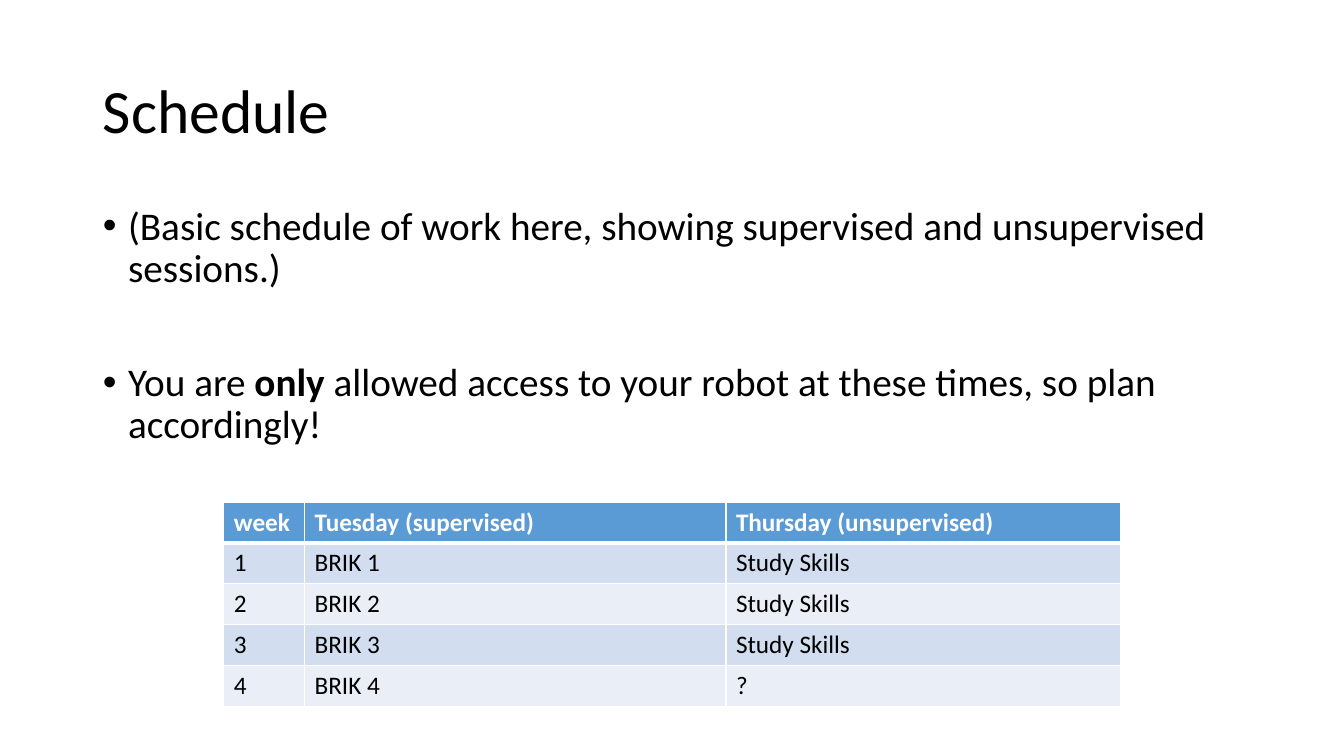
from lxml import etree
from pptx import Presentation
from pptx import util as u
from pptx.dml import color
from pptx.enum import text
from pptx.oxml import ns

HUES = {"ink": "000000", "paper": "FFFFFF", "head": "5B9BD5",
        "odd": "D2DEEF", "even": "EAEFF7"}
FONT = "Calibri"
POINTS = [
    [("(Basic schedule of work here, showing supervised and unsupervised sessions.)", False)],
    [("You are ", False), ("only", True),
     (" allowed access to your robot at these times, so plan accordingly!", False)],
]
ROWS = [
    ("week", "Tuesday (supervised)", "Thursday (unsupervised)"),
    ("1", "BRIK 1", "Study Skills"),
    ("2", "BRIK 2", "Study Skills"),
    ("3", "BRIK 3", "Study Skills"),
    ("4", "BRIK 4", "?"),
]
WIDTHS = (0.8, 4.18, 3.91)


def rgb(name):
    return color.RGBColor.from_string(HUES[name])


def add_run(para, words, size, hue="ink", bold=False):
    run = para.add_run()
    run.text = words
    font = run.font
    font.name, font.size, font.bold = FONT, u.Pt(size), bold
    font.color.rgb = rgb(hue)


def place(shape, box):
    shape.left, shape.top, shape.width, shape.height = map(u.Inches, box)


def add_title(slide, box):
    title = slide.shapes.title
    place(title, box)
    frame = title.text_frame
    frame.auto_size = text.MSO_AUTO_SIZE.NONE
    frame.vertical_anchor = text.MSO_ANCHOR.MIDDLE
    para = frame.paragraphs[0]
    para.alignment = text.PP_ALIGN.LEFT
    para.line_spacing = 0.9
    add_run(para, "Schedule", 44)


def add_list(slide, box):
    body = slide.placeholders[1]
    place(body, box)
    frame = body.text_frame
    frame.auto_size = text.MSO_AUTO_SIZE.NONE
    for i, point in enumerate(POINTS):
        para = frame.add_paragraph() if i else frame.paragraphs[0]
        para.line_spacing = 0.9
        para.space_before = u.Pt(51 if i else 10)
        props = para._p.get_or_add_pPr()
        props.set("marL", str(u.Inches(0.25)))
        props.set("indent", str(u.Inches(-0.25)))
        etree.SubElement(props, ns.qn("a:buFont")).set("typeface", "Arial")
        etree.SubElement(props, ns.qn("a:buChar")).set("char", "•")
        for words, bold in point:
            add_run(para, words, 28, bold=bold)


def add_edges(cell, top, base):
    """Draw white borders, with the top and bottom widths in points."""
    props = cell._tc.get_or_add_tcPr()
    for side, width in (("L", 1), ("R", 1), ("T", top), ("B", base)):
        line = etree.SubElement(props, ns.qn("a:ln" + side), w=str(u.Pt(width)))
        fill = etree.SubElement(line, ns.qn("a:solidFill"))
        etree.SubElement(fill, ns.qn("a:srgbClr")).set("val", HUES["paper"])


def add_plan(slide, box):
    frame = slide.shapes.add_table(len(ROWS), len(WIDTHS), *map(u.Inches, box))
    table = frame.table
    for col, width in zip(table.columns, WIDTHS):
        col.width = u.Inches(width)
    for r, row in enumerate(ROWS):
        head = r == 0
        hue = "head" if head else ("even", "odd")[r % 2]
        for c, words in enumerate(row):
            cell = table.cell(r, c)
            add_edges(cell, 3 if r == 1 else 1, 3 if head else 1)
            cell.fill.solid()
            cell.fill.fore_color.rgb = rgb(hue)
            add_run(cell.text_frame.paragraphs[0], words, 18,
                    "paper" if head else "ink", head)


def main():
    deck = Presentation()
    deck.slide_width, deck.slide_height = u.Inches(13.33), u.Inches(7.5)
    slide = deck.slides.add_slide(deck.slide_layouts[1])
    slide.background.fill.solid()
    slide.background.fill.fore_color.rgb = rgb("paper")
    add_title(slide, (0.92, 0.4, 11.5, 1.45))
    add_list(slide, (0.92, 2, 11.5, 4.76))
    add_plan(slide, (2.22, 4.98, sum(WIDTHS), 2.03))
    deck.save("out.pptx")


if __name__ == "__main__":
    main()
